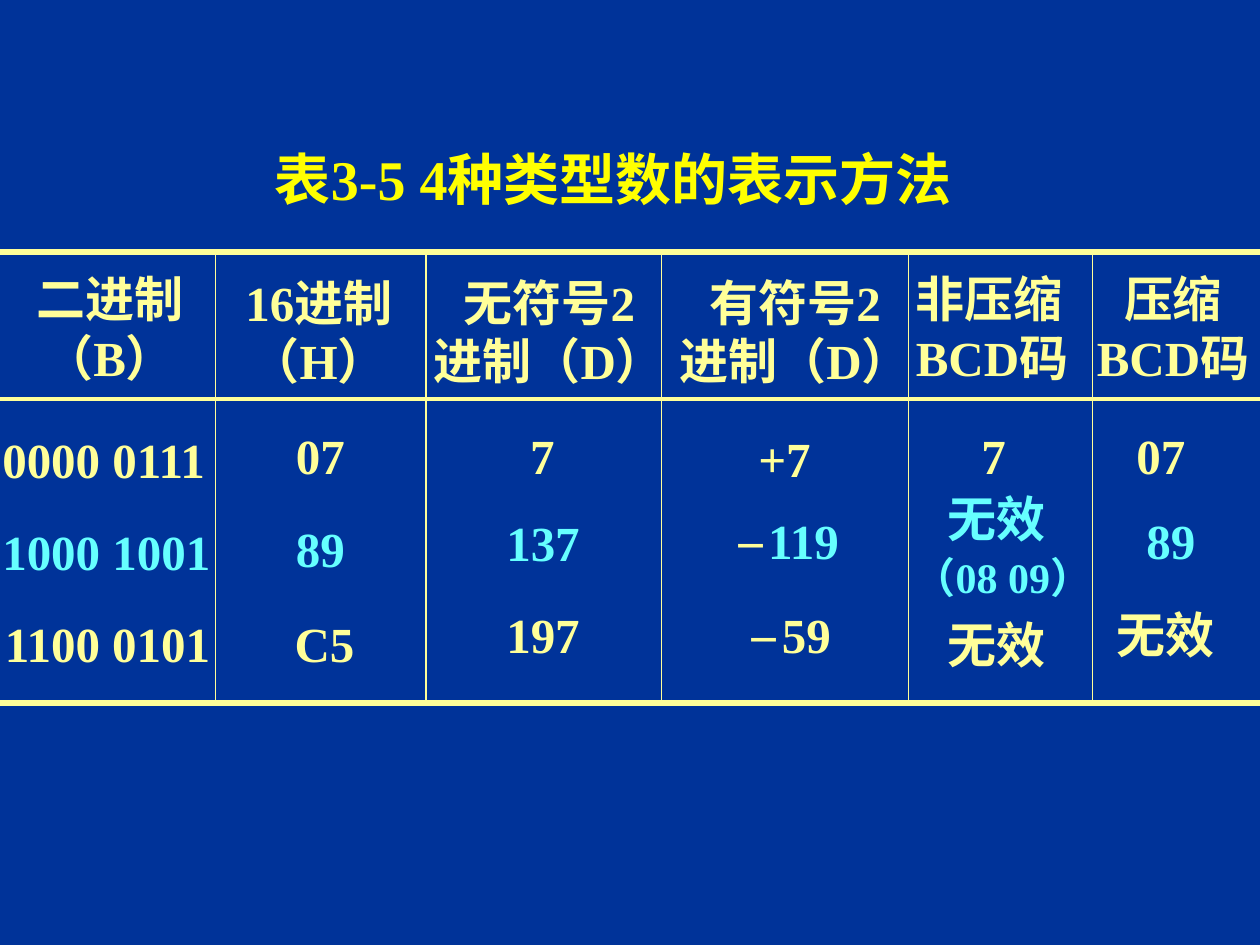
from dataclasses import dataclass
from lxml import etree
from pptx import Presentation, util as u
from pptx.dml.color import RGBColor
from pptx.enum import shapes, text
from pptx.oxml import ns

NAVY = RGBColor(0x00, 0x33, 0x99)
YELLOW = RGBColor(0xFF, 0xFF, 0x00)
CREAM = RGBColor(0xFF, 0xFF, 0x99)
CYAN = RGBColor(0x66, 0xFF, 0xFF)

SLIDE_WIDTH, SLIDE_HEIGHT = 10, 7.5
COLUMN_EDGES = (0, 1.71, 3.38, 5.25, 7.21, 8.67)
TABLE_TOP, HEADER_BOTTOM, TABLE_BOTTOM = 2, 3.17, 5.58
HEADER_TEXT_TOP, BODY_TEXT_TOP, ROW_STEP = 2.08, 3.33, 0.74
LINE_HEIGHT, PADDING = 0.47, 0.1
WIDTH_SLACK = 0.1
MINUS = "－"
LEFT, CENTER = text.PP_ALIGN.LEFT, text.PP_ALIGN.CENTER


@dataclass(frozen=True)
class Entry:
    column: int
    row: int
    lines: tuple[str, ...]
    width: float
    shift_x: float
    shift_y: float = 0
    color: RGBColor = CREAM
    size: int = 28
    align: text.PP_ALIGN = LEFT
    wrap: bool = False


@dataclass(frozen=True)
class Rule:
    start: tuple[float, float]
    end: tuple[float, float]
    width: float


ENTRIES = (
    Entry(0, 0, ("二进制", "（B）"), 1.42, 0.16, align=CENTER),
    Entry(0, 1, ("0000 0111",), 1.85, -0.08, 0.03),
    Entry(0, 2, ("1000 1001",), 1.85, -0.08, 0.02, CYAN),
    Entry(0, 3, ("1100 0101",), 1.85, -0.06, 0.01),
    Entry(1, 0, ("16进制", "（H）"), 1.46, 0.09, 0.03, align=CENTER),
    Entry(1, 1, ("07",), 0.59, 0.54),
    Entry(1, 2, ("89",), 0.59, 0.54, color=CYAN),
    Entry(1, 3, ("C5",), 0.67, 0.53, 0.01),
    Entry(2, 0, ("无符号2", "进制（D）"), 2.22, -0.13, 0.03, align=CENTER),
    Entry(2, 1, ("7",), 0.39, 0.73),
    Entry(2, 2, ("137",), 0.78, 0.54, -0.05, CYAN),
    Entry(2, 3, ("197",), 0.78, 0.54, -0.06),
    Entry(3, 0, ("有符号2", "进制（D）"), 2.22, -0.05, 0.03, align=CENTER),
    Entry(3, 1, ("+7",), 0.61, 0.67, 0.02),
    Entry(3, 2, ("－119",), 1.13, 0.47, -0.07, CYAN),
    Entry(3, 3, ("－59",), 0.93, 0.58, -0.06),
    Entry(4, 0, ("非压缩", "BCD码"), 1.5, -0.04),
    Entry(4, 1, ("7",), 0.39, 0.48),
    Entry(4, 2, ("无效",), 0.97, 0.21, -0.24, CYAN),
    Entry(4, 2, ("（08 09）",), 2.08, -0.29, 0.26, CYAN, 24, CENTER, True),
    Entry(4, 3, ("无效",), 0.97, 0.21, 0.02),
    Entry(5, 0, ("压缩", "BCD码"), 1.5, -0.11, align=CENTER),
    Entry(5, 1, ("07",), 0.59, 0.25),
    Entry(5, 2, ("89",), 0.59, 0.33, -0.07, CYAN),
    Entry(5, 3, ("无效",), 0.97, 0.09, -0.06),
)

RULES = (
    Rule((0, TABLE_TOP), (SLIDE_WIDTH, TABLE_TOP), 3),
    Rule((0, TABLE_BOTTOM), (SLIDE_WIDTH, TABLE_BOTTOM), 3),
    Rule((0, HEADER_BOTTOM), (SLIDE_WIDTH, HEADER_BOTTOM), 2.25),
    *(Rule((edge, TABLE_TOP), (edge, TABLE_BOTTOM), 0.75) for edge in COLUMN_EDGES[1:]),
)


def add_run(paragraph, words: str, size: float, color: RGBColor) -> None:
    run = paragraph.add_run()
    run.text = words
    formats = {"name": "Times New Roman", "size": u.Pt(size), "bold": True}
    for name, value in formats.items():
        setattr(run.font, name, value)
    run.font.color.rgb = color


def add_text_frame(slide, left: float, top: float, width: float, height: float, **formats):
    box = slide.shapes.add_textbox(*map(u.Inches, (left, top, width, height)))
    for name, value in formats.items():
        setattr(box.text_frame, name, value)
    return box.text_frame


def add_title(slide, words: str) -> None:
    frame = add_text_frame(slide, 1.08, 1.08, 7.58, 0.67, word_wrap=True,
                           vertical_anchor=text.MSO_ANCHOR.MIDDLE)
    frame.paragraphs[0].alignment = CENTER
    add_run(frame.paragraphs[0], words, 32, YELLOW)


def add_entry(slide, entry: Entry) -> None:
    row_top = BODY_TEXT_TOP + (entry.row - 1) * ROW_STEP if entry.row else HEADER_TEXT_TOP
    centering = WIDTH_SLACK / 2 if entry.align == CENTER else 0
    frame = add_text_frame(
        slide,
        COLUMN_EDGES[entry.column] + entry.shift_x - centering,
        row_top + entry.shift_y,
        entry.width + WIDTH_SLACK,
        len(entry.lines) * LINE_HEIGHT * entry.size / 28 + PADDING,
        word_wrap=entry.wrap,
        auto_size=text.MSO_AUTO_SIZE.SHAPE_TO_FIT_TEXT,
    )
    for index, line in enumerate(entry.lines):
        paragraph = frame.add_paragraph() if index else frame.paragraphs[0]
        paragraph.alignment = entry.align
        if line.startswith(MINUS):
            add_run(paragraph, MINUS, 20, CREAM)
        add_run(paragraph, line.removeprefix(MINUS), entry.size, entry.color)


def add_rule(slide, rule: Rule) -> None:
    connector = slide.shapes.add_connector(
        shapes.MSO_CONNECTOR.STRAIGHT, *map(u.Inches, (*rule.start, *rule.end)))
    connector.line.color.rgb = CREAM
    connector.line.width = u.Pt(rule.width)
    etree.SubElement(connector._element.spPr, ns.qn("a:effectLst"))


def main() -> None:
    presentation = Presentation()
    presentation.slide_width = u.Inches(SLIDE_WIDTH)
    presentation.slide_height = u.Inches(SLIDE_HEIGHT)
    slide = presentation.slides.add_slide(presentation.slide_layouts[6])
    slide.background.fill.solid()
    slide.background.fill.fore_color.rgb = NAVY
    add_title(slide, "表3-5 4种类型数的表示方法")
    for rule in RULES:
        add_rule(slide, rule)
    for entry in ENTRIES:
        add_entry(slide, entry)
    presentation.save("out.pptx")


if __name__ == "__main__":
    main()
